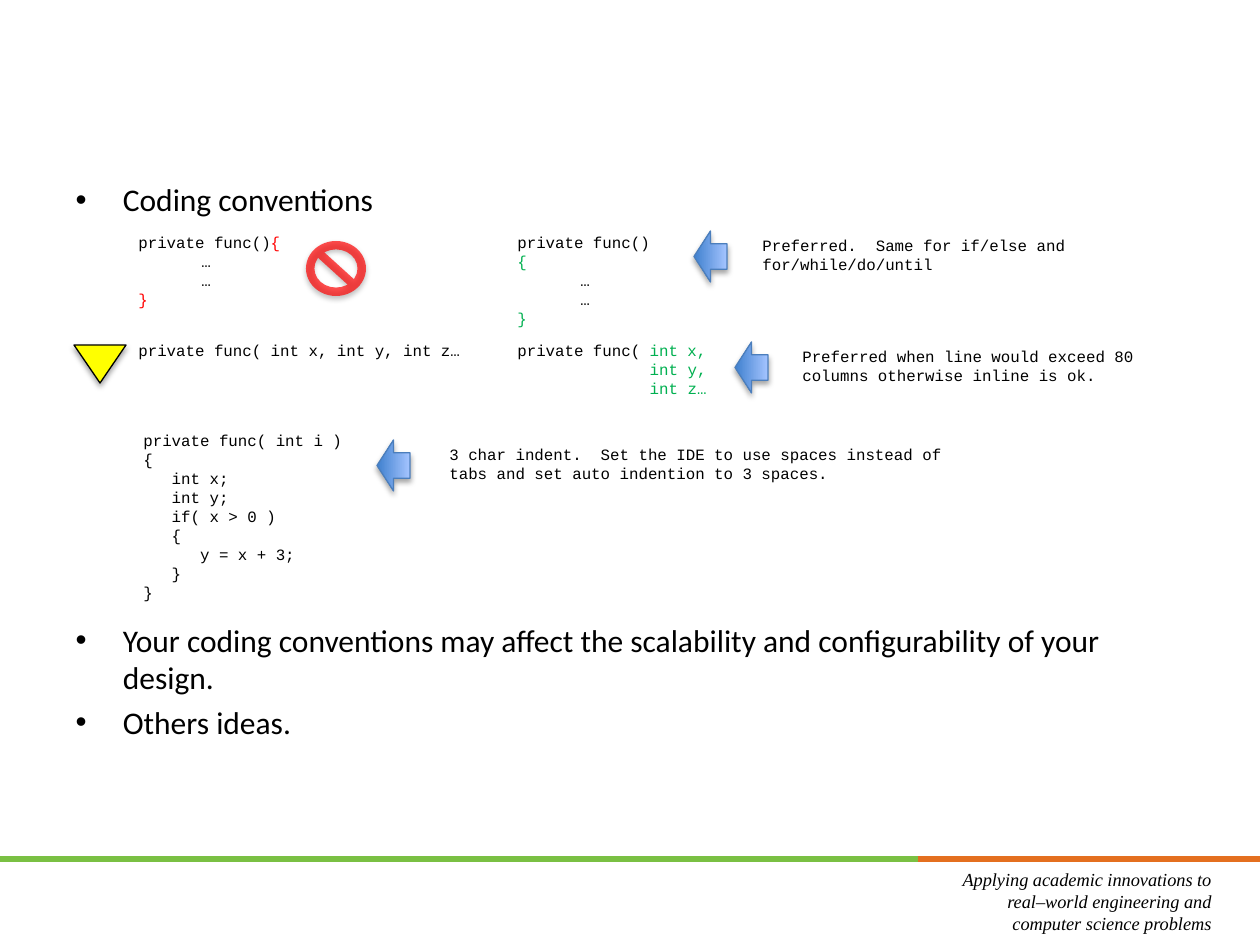
from lxml.etree import SubElement
from pptx import Presentation
from pptx.dml.color import RGBColor
from pptx.enum.shapes import MSO_CONNECTOR, MSO_SHAPE
from pptx.enum.text import MSO_ANCHOR, MSO_AUTO_SIZE, PP_ALIGN
from pptx.oxml import parse_xml
from pptx.oxml.ns import nsdecls, qn
from pptx.util import Emu, Pt

BLACK = RGBColor(0x00, 0x00, 0x00)
RED = RGBColor(0xFF, 0x00, 0x00)
GREEN = RGBColor(0x00, 0xB0, 0x50)
YELLOW = RGBColor(0xFF, 0xFF, 0x00)
ARROW_DARK = RGBColor(0x3F, 0x80, 0xCE)
ARROW_LIGHT = RGBColor(0xA4, 0xC4, 0xFF)
ARROW_LINE = RGBColor(0x4B, 0x7E, 0xBC)
RULE_GREEN = RGBColor(0x7A, 0xC0, 0x43)
RULE_ORANGE = RGBColor(0xE4, 0x6F, 0x1F)

SCALE = 914400 / 126
WIDTH, HEIGHT = 1260, 945
SHADOW = f"""<a:effectLst {nsdecls('a')}>
  <a:outerShdw blurRad="39370" dist="22860" dir="5400000" rotWithShape="0">
    <a:srgbClr val="000000"><a:alpha val="35000"/></a:srgbClr>
  </a:outerShdw>
</a:effectLst>"""


def px(*lengths):
    return [Emu(round(length * SCALE)) for length in lengths]


def write(frame, paragraphs, font="Courier New", size=9, italic=None, align=None):
    """Fill a text frame; each paragraph is a string or a list of (text, colour)."""
    frame.word_wrap = True
    for index, spans in enumerate(paragraphs):
        para = frame.paragraphs[0] if index == 0 else frame.add_paragraph()
        if align is not None:
            para.alignment = align
        for text, color in [(spans, BLACK)] if isinstance(spans, str) else spans:
            span = para.add_run()
            span.text = text
            span.font.name = font
            span.font.size = Pt(size)
            span.font.italic = italic
            span.font.color.rgb = color


def add_text(page, box, paragraphs, **style):
    frame = page.shapes.add_textbox(*px(*box)).text_frame
    write(frame, paragraphs, **style)
    return frame


def add_symbol(page, kind, box, rotation=0, line=None):
    """Add a preset shape with a soft drop shadow."""
    shape = page.shapes.add_shape(kind, *px(*box))
    shape.rotation = rotation
    if line is None:
        shape.line.fill.background()
    else:
        shape.line.color.rgb = line
        shape.line.width = Pt(0.75)
    shape.element.spPr.append(parse_xml(SHADOW))
    return shape


def add_remark(page, left, top, width, arrow_left, text):
    """Add a remark with an arrow on its left that points to the code."""
    add_text(page, (left, top, width, 50), [text])
    arrow = add_symbol(page, MSO_SHAPE.DOWN_ARROW, (arrow_left, top + 10, 51, 33),
                       rotation=90, line=ARROW_LINE)
    arrow.fill.gradient()
    arrow.fill.gradient_angle = 90
    for stop, color in zip(arrow.fill.gradient_stops, (ARROW_DARK, ARROW_LIGHT)):
        stop.color.rgb = color


def add_bullets(page, box):
    body = page.placeholders[1]
    body.left, body.top, body.width, body.height = px(*box)
    frame = body.text_frame
    frame.auto_size = MSO_AUTO_SIZE.NONE
    write(frame, [
        "Coding conventions",
        "Your coding conventions may affect the scalability and configurability"
        " of your design.",
        "Others ideas.",
    ], font="Calibri", size=18)
    for para, gap in zip(frame.paragraphs, (0, 230, 3.6)):
        para.space_before = Pt(gap)


def add_brace_row(page, left, top):
    add_text(page, (left, top, 379, 89), [
        [("private func()", BLACK), ("{", RED)], "\t…", "\t…", [("}", RED)]])
    add_text(page, (left + 379, top, 379, 109), [
        "private func()", [("{", GREEN)], "\t…", "\t…", [("}", GREEN)]])
    add_remark(page, left + 624, top + 3, 379, left + 559,
               "Preferred.  Same for if/else and for/while/do/until")

    stop_sign = add_symbol(page, MSO_SHAPE.NO_SYMBOL, (left + 180, top + 14, 60, 55))
    stop_sign.adjustments[0] = 0.153
    stop_sign.fill.solid()
    stop_sign.fill.fore_color.rgb = RED
    color = stop_sign.element.spPr.find(qn("a:solidFill")).find(qn("a:srgbClr"))
    SubElement(color, qn("a:alpha")).set("val", "69000")


def add_argument_row(page, left, top):
    add_text(page, (left, top, 379, 31), ["private func( int x, int y, int z…"])
    add_text(page, (left + 379, top, 379, 71), [
        [("private func( ", BLACK), ("int x,", GREEN)],
        [("              int y,", GREEN)],
        [("              int z…", GREEN)]])
    add_remark(page, left + 664, top + 6, 379, left + 600,
               "Preferred when line would exceed 80 columns otherwise inline is ok.")

    caution = add_symbol(page, MSO_SHAPE.ISOSCELES_TRIANGLE,
                         (left - 52, top + 10, 52, 38), rotation=180, line=BLACK)
    caution.fill.solid()
    caution.fill.fore_color.rgb = YELLOW


def add_indent_row(page, left, top):
    add_text(page, (left, top, 229, 184), [
        "private func( int i )",
        "{",
        "   int x;",
        "   int y;",
        "   if( x > 0 )",
        "   {",
        "      y = x + 3;",
        "   }",
        "}"])
    add_remark(page, left + 306, top + 14, 548, left + 237,
               "3 char indent.  Set the IDE to use spaces instead of tabs"
               " and set auto indention to 3 spaces.")


def add_footer(page, top):
    split = 918
    for start, end, color in ((0, split, RULE_GREEN), (split, WIDTH, RULE_ORANGE)):
        rule = page.shapes.add_connector(MSO_CONNECTOR.STRAIGHT,
                                         *px(start, top, end, top))
        rule.line.color.rgb = color
        rule.line.width = Pt(3)
        SubElement(rule.element.spPr, qn("a:effectLst"))
    motto = add_text(page, (930, top + 3, 294, 79), [
        "Applying academic innovations to real–world engineering and"
        " computer science problems",
    ], font="Times New Roman", size=10.5, italic=True, align=PP_ALIGN.RIGHT)
    motto.vertical_anchor = MSO_ANCHOR.MIDDLE


def main():
    deck = Presentation()
    deck.slide_width, deck.slide_height = px(WIDTH, HEIGHT)
    page = deck.slides.add_slide(deck.slide_layouts[1])
    title = page.shapes.title.element
    title.getparent().remove(title)

    add_footer(page, 859)
    add_bullets(page, (63, 174, 1134, 670))
    add_brace_row(page, 126, 227)
    add_argument_row(page, 126, 335)
    add_indent_row(page, 131, 425)
    deck.save("out.pptx")


if __name__ == "__main__":
    main()
